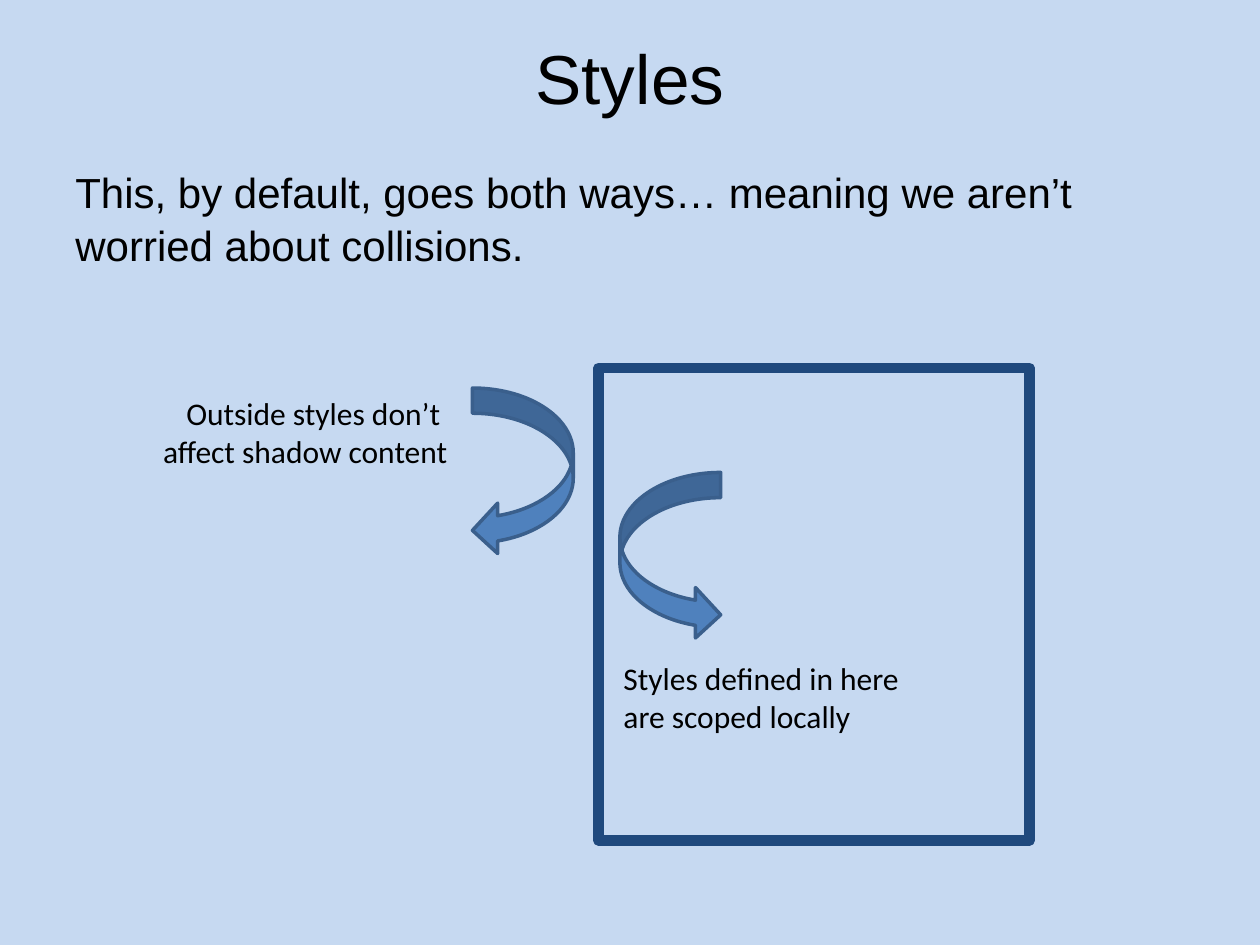
import pptx
import pptx.dml.color
import pptx.enum.shapes
import pptx.enum.text
import pptx.util

Inches = pptx.util.Inches
Pt = pptx.util.Pt
RGBColor = pptx.dml.color.RGBColor
MSO_SHAPE = pptx.enum.shapes.MSO_SHAPE
PP_ALIGN = pptx.enum.text.PP_ALIGN

PALE_BLUE = RGBColor(0xC6, 0xD9, 0xF1)
NAVY = RGBColor(0x1F, 0x49, 0x7D)
ARROW_BLUE = RGBColor(0x4F, 0x81, 0xBD)
ARROW_EDGE = RGBColor(0x3A, 0x5F, 0x8C)
BLACK = RGBColor(0, 0, 0)


def write(frame, *lines, font, size, align=PP_ALIGN.LEFT, wrap=True, spacing=1.0):
    """Fill a text frame with one paragraph per line."""
    frame.word_wrap = wrap
    frame.vertical_anchor = pptx.enum.text.MSO_ANCHOR.TOP
    for index, line in enumerate(lines):
        paragraph = frame.add_paragraph() if index else frame.paragraphs[0]
        paragraph.alignment = align
        paragraph.line_spacing = spacing
        run = paragraph.add_run()
        run.text = line
        run.font.name = font
        run.font.size = Pt(size)
        run.font.color.rgb = BLACK


class StyledSlide:
    heading_font = "Arial"
    label_font = "Calibri"

    def __init__(self, deck):
        self.slide = deck.slides.add_slide(deck.slide_layouts[5])
        self.slide.background.fill.solid()
        self.slide.background.fill.fore_color.rgb = PALE_BLUE

    def title(self, text, left, top, width, height):
        heading = self.slide.shapes.title
        heading.left, heading.top = Inches(left), Inches(top)
        heading.width, heading.height = Inches(width), Inches(height)
        heading.text_frame.auto_size = pptx.enum.text.MSO_AUTO_SIZE.NONE
        heading.text_frame.margin_top = Inches(0.11)
        write(heading.text_frame, text, font=self.heading_font, size=39.6,
              align=PP_ALIGN.CENTER)

    def text(self, lines, left, top, width, height, **style):
        box = self.slide.shapes.add_textbox(
            Inches(left), Inches(top), Inches(width), Inches(height))
        write(box.text_frame, *lines, **style)

    def label(self, lines, left, top, width, align):
        self.text(lines, left, top, width, 0.91, font=self.label_font,
                  size=18, align=align, wrap=False)

    def shape(self, kind, left, top, width, height, edge, edge_width, fill=None):
        shape = self.slide.shapes.add_shape(
            kind, Inches(left), Inches(top), Inches(width), Inches(height))
        shape.shadow.inherit = False
        if fill is None:
            shape.fill.background()
        else:
            shape.fill.solid()
            shape.fill.fore_color.rgb = fill
        shape.line.color.rgb = edge
        shape.line.width = Pt(edge_width)

    def curved_arrow(self, kind, left, top):
        self.shape(kind, left, top, 0.8, 1.33, ARROW_EDGE, 2, ARROW_BLUE)


def main():
    deck = pptx.Presentation()
    deck.slide_width, deck.slide_height = Inches(10), Inches(7.5)
    page = StyledSlide(deck)

    # Heading and statement
    page.text(["This, by default, goes both ways… meaning we aren’t worried about collisions."],
              0.5, 1.25, 9, 5.45, font=page.heading_font, size=24, spacing=1.05)
    page.title("Styles", 0.25, 0.17, 9.5, 0.45)

    # Shadow boundary, with an arrow turning back on each side
    page.shape(MSO_SHAPE.RECTANGLE, 4.75, 2.92, 3.42, 3.75, NAVY, 6)
    page.curved_arrow(MSO_SHAPE.CURVED_LEFT_ARROW, 3.75, 3.08)
    page.curved_arrow(MSO_SHAPE.CURVED_RIGHT_ARROW, 4.92, 3.75)

    # Labels outside and inside the boundary
    page.label(["Outside styles don’t ", "affect shadow content"],
               0.33, 3.08, 3.32, PP_ALIGN.RIGHT)
    page.label(["Styles defined in here", "are scoped locally"],
               4.85, 5.18, 3.23, PP_ALIGN.LEFT)

    deck.save("out.pptx")


if __name__ == "__main__":
    main()
